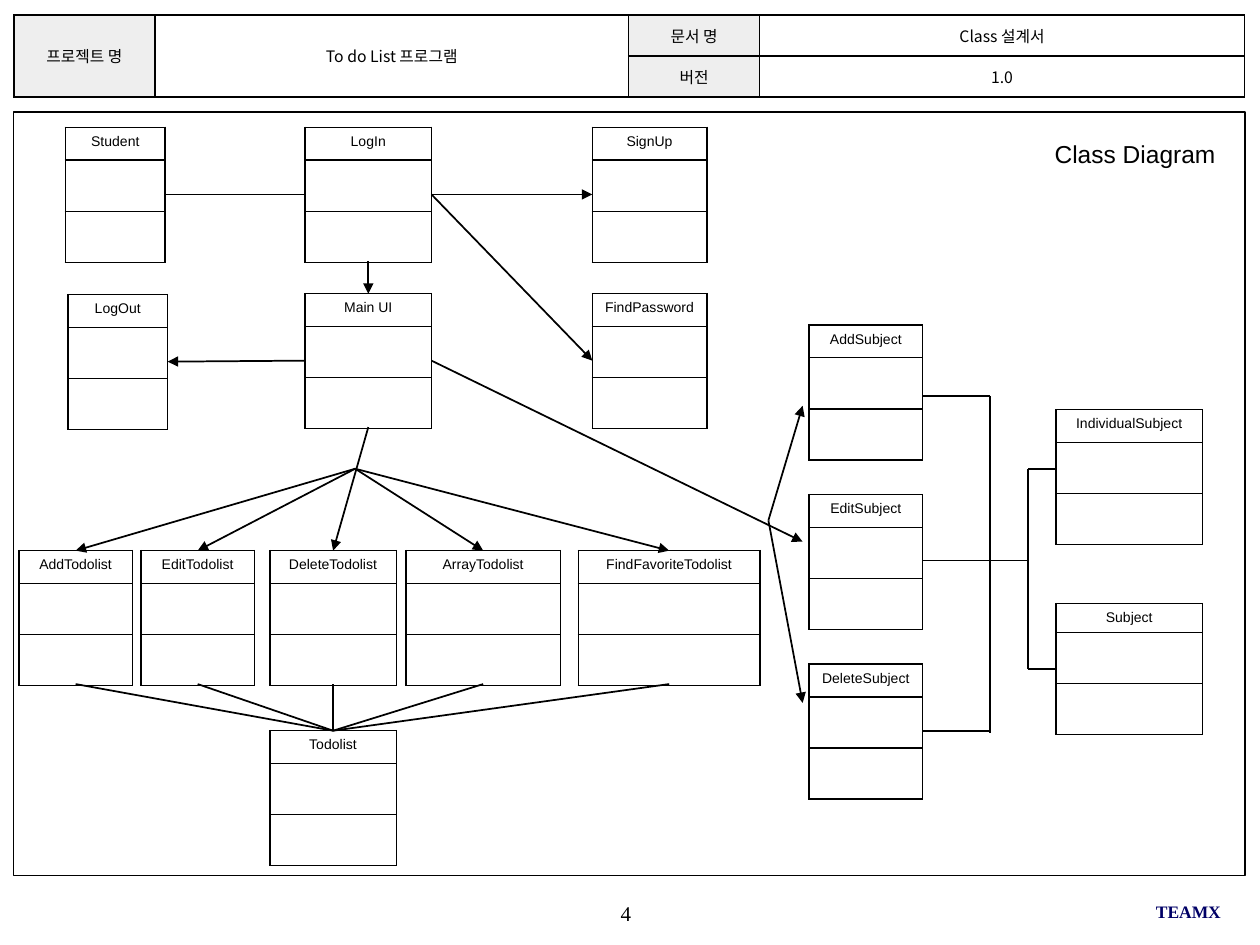
from dataclasses import dataclass

import pptx
import pptx.dml.color
import pptx.enum.shapes
import pptx.enum.text
import pptx.oxml
import pptx.oxml.ns
import pptx.util
from lxml import etree

Cm, Pt = pptx.util.Cm, pptx.util.Pt
PP_ALIGN = pptx.enum.text.PP_ALIGN
ANCHOR = pptx.enum.text.MSO_ANCHOR
qn = pptx.oxml.ns.qn


@dataclass(frozen=True)
class Theme:
    ink: str = "000000"
    paper: str = "FFFFFF"
    label: str = "EEEEEE"
    team: str = "000066"
    sans: str = "Arial"
    serif: str = "Times New Roman"
    korean: str = "Noto Sans CJK KR"
    class_size: float = 8
    header_size: float = 9
    team_size: float = 10
    number_size: float = 12
    title_size: float = 14
    line: float = 1
    frame_line: float = 0.75


@dataclass(frozen=True)
class ClassBox:
    """A three-part class box; lengths in cm."""
    name: str
    left: float
    top: float
    width: float
    head: float = 0.66

    @property
    def l(self):
        return self.left, self.top + 1.35

    @property
    def r(self):
        return self.left + self.width, self.top + 1.35

    @property
    def t(self):
        return self.left + self.width / 2, self.top

    @property
    def b(self):
        return self.left + self.width / 2, self.top + 2.69


T = Theme()
Point = tuple[float, float]


def rgb(color: str):
    return pptx.dml.color.RGBColor.from_string(color)


def write(tf, text: str, *, size: float, font: str, color: str = T.ink,
          bold: bool = False, align=PP_ALIGN.CENTER) -> None:
    p = tf.paragraphs[0]
    p.alignment = align
    r = p.add_run()
    r.text = text
    r.font.size, r.font.name, r.font.bold = Pt(size), font, bold
    r.font.color.rgb = rgb(color)
    etree.SubElement(r.font._element, qn("a:ea"), typeface=font)


def add_text(text: str, x: float, y: float, w: float, h: float, *,
             inset: bool = False, **fmt) -> None:
    tf = slide.shapes.add_textbox(Cm(x), Cm(y), Cm(w), Cm(h)).text_frame
    tf.word_wrap = True
    if not inset:
        tf.margin_left = tf.margin_right = tf.margin_top = tf.margin_bottom = 0
        tf.vertical_anchor = ANCHOR.MIDDLE
    write(tf, text, **fmt)


def style_cell(cell, fill: str | None) -> None:
    if fill:
        cell.fill.solid()
        cell.fill.fore_color.rgb = rgb(fill)
    else:
        cell.fill.background()
    tcPr = cell._tc.get_or_add_tcPr()
    for i, side in enumerate(("lnL", "lnR", "lnT", "lnB")):
        ln = etree.Element(qn(f"a:{side}"), w=str(Pt(T.line)))
        solid = etree.SubElement(ln, qn("a:solidFill"))
        etree.SubElement(solid, qn("a:srgbClr"), val=T.ink)
        tcPr.insert(i, ln)


def add_table(x: float, y: float, cols: list[float], rows: list[float]):
    tbl = slide.shapes.add_table(len(rows), len(cols), Cm(x), Cm(y),
                                 Cm(sum(cols)), Cm(sum(rows))).table
    tbl.first_row = tbl.horz_banding = False
    for col, w in zip(tbl.columns, cols):
        col.width = Cm(w)
    for row, h in zip(tbl.rows, rows):
        row.height = Cm(h)
    return tbl


def add_class(box: ClassBox) -> None:
    tbl = add_table(box.left, box.top, [box.width], [box.head, 0.98, 0.98])
    for cell in tbl.iter_cells():
        style_cell(cell, T.paper)
    write(tbl.cell(0, 0).text_frame, box.name, size=T.class_size, font=T.sans)


def add_line(start: Point, end: Point, arrow: bool = False) -> None:
    sp = slide.shapes.add_connector(pptx.enum.shapes.MSO_CONNECTOR.STRAIGHT,
                                    *map(Cm, start + end))
    sp.line.width = Pt(T.line)
    sp.line.color.rgb = rgb(T.ink)
    if arrow:
        etree.SubElement(sp.line._get_or_add_ln(), qn("a:tailEnd"), type="triangle")
    etree.SubElement(sp._element.spPr, qn("a:effectLst"))


prs = pptx.Presentation()
prs.slide_width, prs.slide_height = Cm(25.4), Cm(19.05)
slide = prs.slides.add_slide(prs.slide_layouts[6])

# Header table
header = add_table(0.28, 0.3, [2.84, 9.55, 2.64, 9.78], [0.83, 0.83])
for i, cell in enumerate(header.iter_cells()):
    style_cell(cell, None if i % 2 else T.label)
    cell.vertical_anchor = ANCHOR.MIDDLE
    cell.margin_left = cell.margin_right = Cm(0.1)
    cell.margin_top = cell.margin_bottom = Cm(0.05)
for col in (0, 1):
    header.cell(0, col).merge(header.cell(1, col))
for row, col, text in ((0, 0, "프로젝트 명"), (0, 1, "To do List 프로그램"),
                       (0, 2, "문서 명"), (0, 3, "Class 설계서"),
                       (1, 2, "버전"), (1, 3, "1.0")):
    write(header.cell(row, col).text_frame, text, size=T.header_size, font=T.korean)

# Frame
frame = slide.shapes.add_shape(pptx.enum.shapes.MSO_SHAPE.RECTANGLE,
                               Cm(0.28), Cm(2.26), Cm(24.82), Cm(15.39))
frame.shadow.inherit = False
frame.fill.background()
frame.line.color.rgb = rgb(T.ink)
frame.line.width = Pt(T.frame_line)

# Classes
student = ClassBox("Student", 1.32, 2.57, 2.01)
login = ClassBox("LogIn", 6.15, 2.57, 2.55)
sign_up = ClassBox("SignUp", 11.94, 2.57, 2.31)
logout = ClassBox("LogOut", 1.37, 5.94, 2.01)
main_ui = ClassBox("Main UI", 6.15, 5.92, 2.55)
find_password = ClassBox("FindPassword", 11.94, 5.92, 2.31)
individual = ClassBox("IndividualSubject", 21.29, 8.26, 2.95)
subject = ClassBox("Subject", 21.29, 12.17, 2.95, head=0.58)
todolist = ClassBox("Todolist", 5.44, 14.73, 2.55)
editors = [ClassBox(f"{verb}Subject", 16.31, 6.55 + 3.42 * i, 2.29)
           for i, verb in enumerate(("Add", "Edit", "Delete"))]
actions = [ClassBox(f"{verb}Todolist", x, 11.1, w) for verb, x, w in (
    ("Add", 0.38, 2.29), ("Edit", 2.84, 2.29), ("Delete", 5.44, 2.55),
    ("Array", 8.18, 3.12), ("FindFavorite", 11.66, 3.66))]
for box in (student, login, sign_up, logout, main_ui, find_password,
            individual, subject, todolist, *editors, *actions):
    add_class(box)

# Login and main screen
add_line(student.r, login.l)
for start, end in ((login.b, main_ui.t), (login.r, sign_up.l),
                   (login.r, find_password.l), (main_ui.l, logout.r),
                   (main_ui.r, (16.18, 10.92))):
    add_line(start, end, arrow=True)

# Todolist fan
hub = (7.16, 9.45)
for box in actions:
    add_line(main_ui.b if box.name == "DeleteTodolist" else hub, box.t, arrow=True)
    add_line(box.b, todolist.t)

# Subject fan and buses
for y in (8.18, 14.17):
    add_line((15.49, 10.49), (16.18, y), arrow=True)
edit_bus, subject_bus = 19.96, 20.73
for box, y in zip(editors, (7.98, 11.3, 14.73)):
    add_line((box.r[0], y), (edit_bus, y))
add_line((edit_bus, 7.98), (edit_bus, 14.78))
add_line((edit_bus, 11.3), (subject_bus, 11.3))
add_line((subject_bus, 13.49), (subject_bus, 9.45))
for box, y in ((individual, 9.45), (subject, 13.49)):
    add_line((subject_bus, y), (box.left, y))

# Title and footer
add_text("Class Diagram", 21.01, 2.67, 4.01, 0.86, inset=True,
         size=T.title_size, font=T.sans, align=PP_ALIGN.LEFT)
add_text("4", 9.98, 17.98, 5.28, 0.84, size=T.number_size, font=T.serif)
add_text("TEAMX", 16.84, 17.96, 7.77, 0.84, size=T.team_size, font=T.serif,
         color=T.team, bold=True, align=PP_ALIGN.RIGHT)

prs.save("out.pptx")
